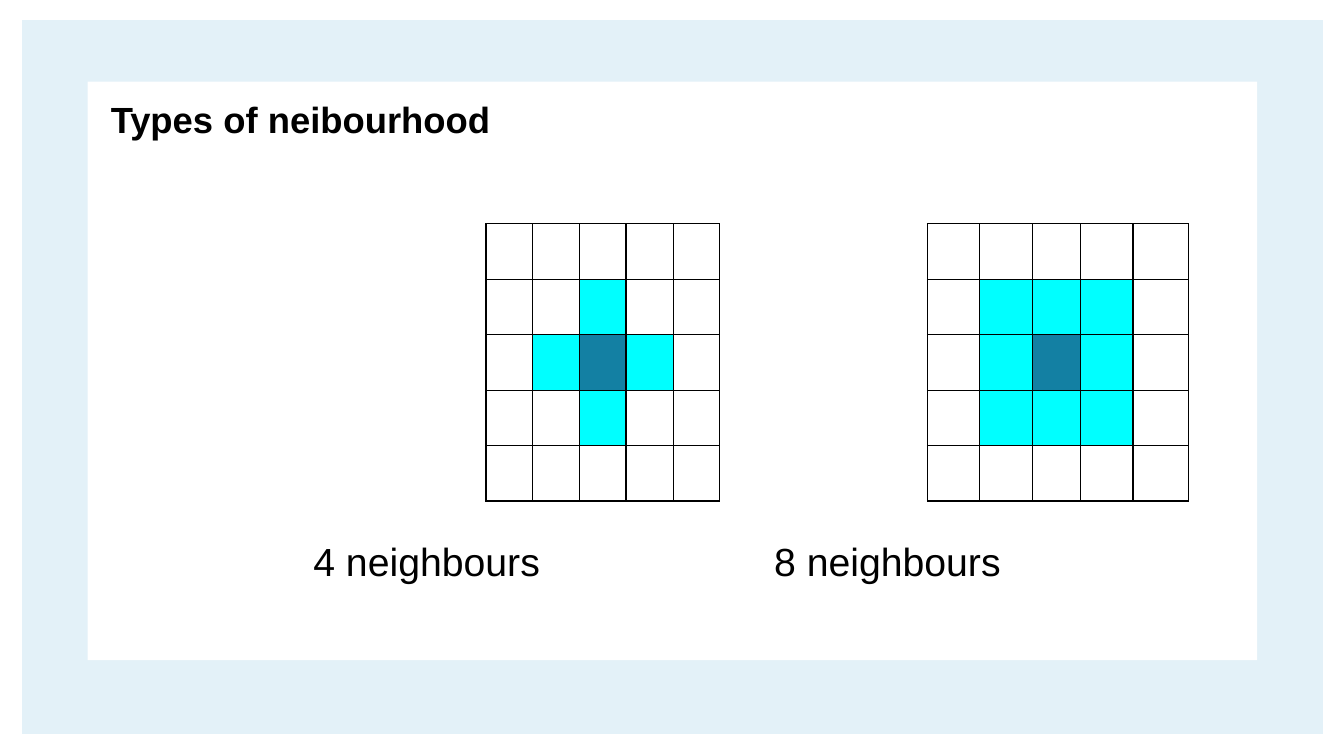
import pptx
import pptx.dml.color
import pptx.enum.text
import pptx.enum.shapes
import pptx.oxml
import pptx.oxml.ns
import pptx.util

RGB = pptx.dml.color.RGBColor
BLACK = RGB(0x00, 0x00, 0x00)
WHITE = RGB(0xFF, 0xFF, 0xFF)
PALE_BLUE = RGB(0xE3, 0xF1, 0xF8)
CYAN = RGB(0x00, 0xFF, 0xFF)
TEAL = RGB(0x13, 0x80, 0xA3)

EMU_PER_PX = 9144
SIDES = {"lnL": (0, -1), "lnR": (0, 1), "lnT": (-1, 0), "lnB": (1, 0)}
COLUMN_WIDTHS = [46, 46, 47, 46, 47, 46, 154, 52, 52, 52, 48, 52, 55, 155]
ROW_COUNT, ROW_HEIGHT = 8, 55
GRID_ROWS = range(1, 6)
GRID_COLUMNS = [*range(1, 6), *range(8, 13)]
FOUR_CENTRE, EIGHT_CENTRE = (3, 3), (3, 10)


def px(length):
    return pptx.util.Emu(length * EMU_PER_PX)


def in_grid(row, column):
    return row in GRID_ROWS and column in GRID_COLUMNS


def cell_colour(row, column):
    if (row, column) in (FOUR_CENTRE, EIGHT_CENTRE):
        return TEAL
    four_distance = abs(row - FOUR_CENTRE[0]) + abs(column - FOUR_CENTRE[1])
    eight_distance = max(abs(row - EIGHT_CENTRE[0]), abs(column - EIGHT_CENTRE[1]))
    return CYAN if 1 in (four_distance, eight_distance) else None


class Page:
    """Draws styled elements on one slide."""

    font = "Arial"

    def __init__(self, deck):
        self.slide = deck.slides.add_slide(deck.slide_layouts[6])

    def panel(self, left, top, width, height, colour):
        shape = self.slide.shapes.add_shape(
            pptx.enum.shapes.MSO_SHAPE.RECTANGLE, px(left), px(top), px(width), px(height))
        shape.shadow.inherit = False
        shape.fill.solid()
        shape.fill.fore_color.rgb = colour
        shape.line.fill.background()

    def text(self, left, top, width, height, words, size, bold=False, spacing=1.0, inset=5):
        box = self.slide.shapes.add_textbox(px(left), px(top), px(width), px(height))
        frame = box.text_frame
        frame.word_wrap = True
        frame.margin_top = px(inset)
        frame.vertical_anchor = pptx.enum.text.MSO_ANCHOR.TOP
        frame.text = words
        para = frame.paragraphs[0]
        para.line_spacing = spacing
        font = para.runs[0].font
        font.name, font.size, font.bold = self.font, pptx.util.Pt(size), bold
        font.color.rgb = BLACK

    def border(self, cell, side, visible):
        paint = f'<a:solidFill><a:srgbClr val="{BLACK}"/></a:solidFill>' if visible else "<a:noFill/>"
        line = pptx.oxml.parse_xml(
            f'<a:{side} {pptx.oxml.ns.nsdecls("a")} w="{pptx.util.Pt(1)}">{paint}</a:{side}>')
        cell._tc.get_or_add_tcPr().append(line)

    def grids(self, left, top):
        frame = self.slide.shapes.add_table(
            ROW_COUNT, len(COLUMN_WIDTHS), px(left), px(top),
            px(sum(COLUMN_WIDTHS)), px(ROW_COUNT * ROW_HEIGHT))
        table = frame.table
        table.first_row = table.horz_banding = False
        for column, width in zip(table.columns, COLUMN_WIDTHS):
            column.width = px(width)
        for row_index, row in enumerate(table.rows):
            row.height = px(ROW_HEIGHT)
            for column_index, cell in enumerate(row.cells):
                inside = in_grid(row_index, column_index)
                for side, (down, right) in SIDES.items():
                    beside = in_grid(row_index + down, column_index + right)
                    self.border(cell, side, inside or beside)
                colour = cell_colour(row_index, column_index)
                if colour is None:
                    cell.fill.background()
                else:
                    cell.fill.solid()
                    cell.fill.fore_color.rgb = colour


def main():
    deck = pptx.Presentation()
    deck.slide_width, deck.slide_height = px(1333), px(750)
    page = Page(deck)
    page.panel(22, 20, 1290, 708, PALE_BLUE)
    page.panel(87, 81, 1160, 574, WHITE)
    page.text(100, 96, 409, 121, "Types of neibourhood", 26, bold=True, spacing=0.9)
    page.grids(436, 167)
    for left, words in ((301, "4 neighbours"), (758, "8 neighbours")):
        page.text(left, 525, 286, 87, words, 28, inset=8)
    deck.save("out.pptx")


if __name__ == "__main__":
    main()
